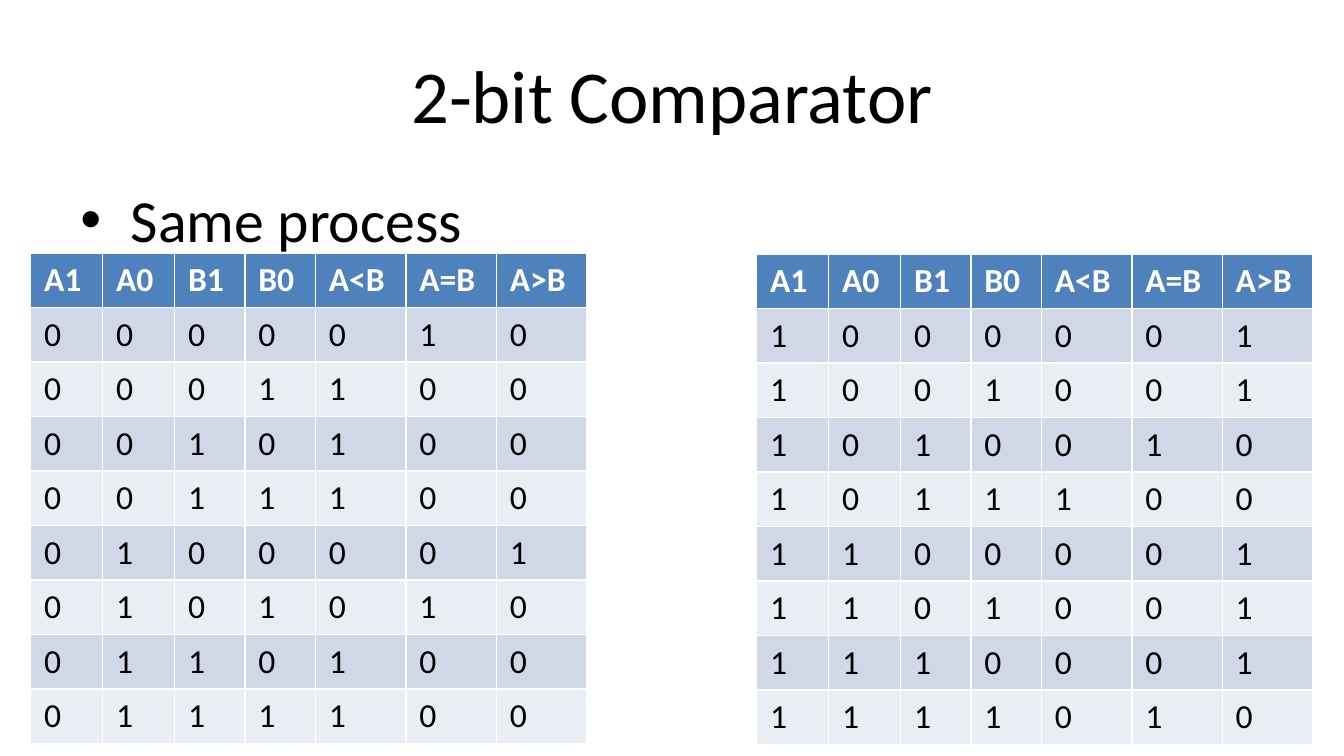
import pptx
import pptx.dml.color
import pptx.enum.text
import pptx.oxml
import pptx.oxml.ns
import pptx.util

Cm = pptx.util.Cm
HEADINGS = ["A1", "A0", "B1", "B0", "A<B", "A=B", "A>B"]
COLUMN_WIDTHS = [1.36, 1.36, 1.33, 1.33, 1.71, 1.71, 1.71]
ROW_HEIGHT = 1.03
HEADER_FILL = "4F81BD"
BAND_FILLS = ["E9EDF4", "D0D8E8"]


def colour(value):
    """Turn a hex string into a colour."""
    return pptx.dml.color.RGBColor.from_string(value)


def write(para, text, size, ink="000000", bold=False):
    """Put one formatted span of text into a paragraph."""
    span = para.add_run()
    span.text = text
    formats = {"name": "Calibri", "size": pptx.util.Pt(size), "bold": bold}
    for name, value in formats.items():
        setattr(span.font, name, value)
    span.font.color.rgb = colour(ink)


def place_title(page, box, text):
    """Move and fill the title placeholder."""
    title = page.shapes.title
    for name, value in zip(["left", "top", "width", "height"], box):
        setattr(title, name, Cm(value))
    title.text_frame.vertical_anchor = pptx.enum.text.MSO_ANCHOR.MIDDLE
    para = title.text_frame.paragraphs[0]
    para.alignment = pptx.enum.text.PP_ALIGN.CENTER
    write(para, text, 40)


def place_bullet(page, box, text):
    """Add a text box holding one bulleted line."""
    frame = page.shapes.add_textbox(*map(Cm, box)).text_frame
    frame.word_wrap = True
    para = frame.paragraphs[0]
    properties = para._p.get_or_add_pPr()
    indent = Cm(0.95)
    properties.set("marL", str(indent))
    properties.set("indent", str(-indent))
    for tag, name, value in [("a:buFont", "typeface", "Arial"), ("a:buChar", "char", "•")]:
        bullet = pptx.oxml.parse_xml(f"<{tag} {pptx.oxml.ns.nsdecls('a')}/>")
        bullet.set(name, value)
        properties.append(bullet)
    write(para, text, 32)


def comparator_rows(a_values):
    """List the input bits and comparison results for each A against every B."""
    return [
        [a >> 1, a & 1, b >> 1, b & 1, int(a < b), int(a == b), int(a > b)]
        for a in a_values
        for b in range(4)
    ]


def place_truth_table(page, left, top, a_values):
    """Add the truth table for the given values of A."""
    rows = [HEADINGS] + comparator_rows(a_values)
    box = [left, top, sum(COLUMN_WIDTHS), ROW_HEIGHT * len(rows)]
    table = page.shapes.add_table(len(rows), len(HEADINGS), *map(Cm, box)).table
    for column, width in zip(table.columns, COLUMN_WIDTHS):
        column.width = Cm(width)
    for index, values in enumerate(rows):
        table.rows[index].height = Cm(ROW_HEIGHT)
        header = index == 0
        for cell, value in zip(table.rows[index].cells, values):
            cell.fill.solid()
            cell.fill.fore_color.rgb = colour(HEADER_FILL if header else BAND_FILLS[index % 2])
            ink = "FFFFFF" if header else "000000"
            write(cell.text_frame.paragraphs[0], str(value), 18, ink, header)


def main():
    """Build the comparator slide and save the deck."""
    deck = pptx.Presentation()
    deck.slide_width, deck.slide_height = Cm(25.4), Cm(14.29)
    page = deck.slides.add_slide(deck.slide_layouts.get_by_name("Title Only"))
    place_title(page, [1.27, 0.58, 22.86, 2.39], "2-bit Comparator")
    place_bullet(page, [1.27, 3.33, 22.86, 9.42], "Same process")
    place_truth_table(page, 0.58, 4.78, [0, 1])
    place_truth_table(page, 14.3, 4.8, [2, 3])
    deck.save("out.pptx")


if __name__ == "__main__":
    main()
